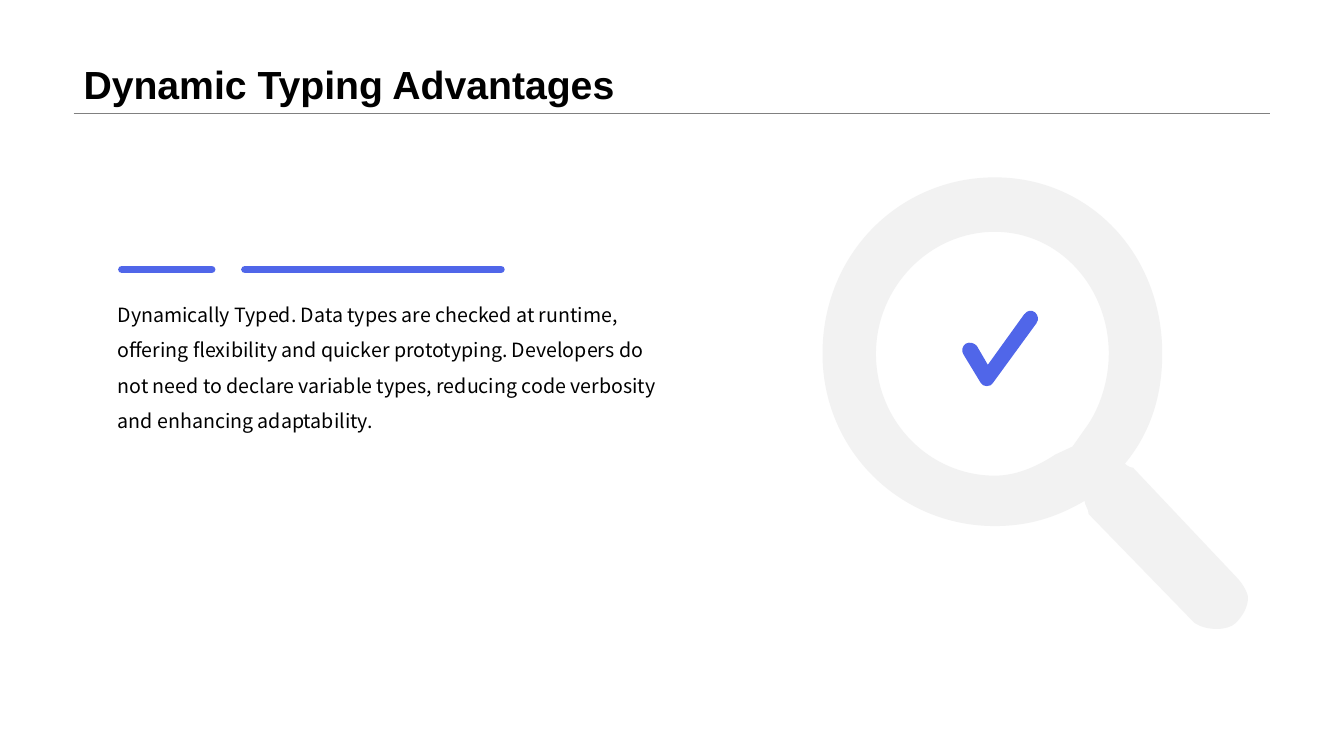
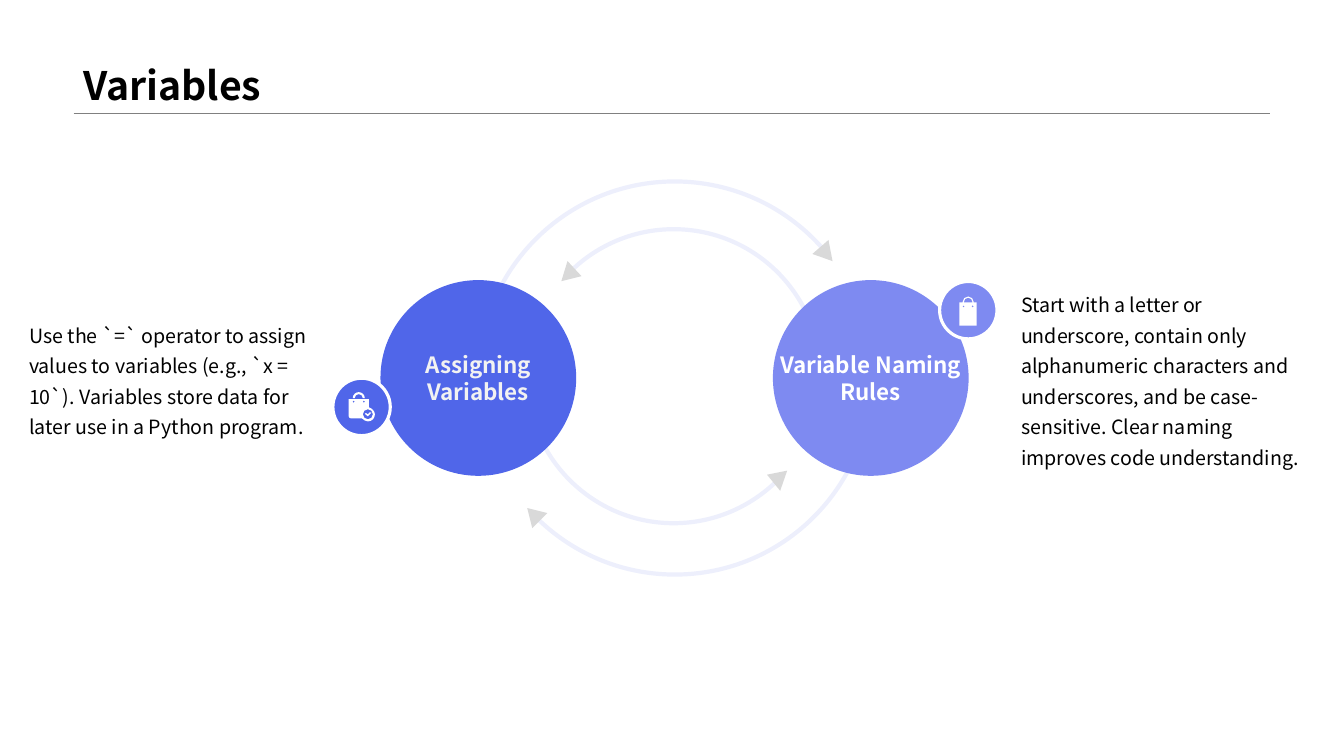
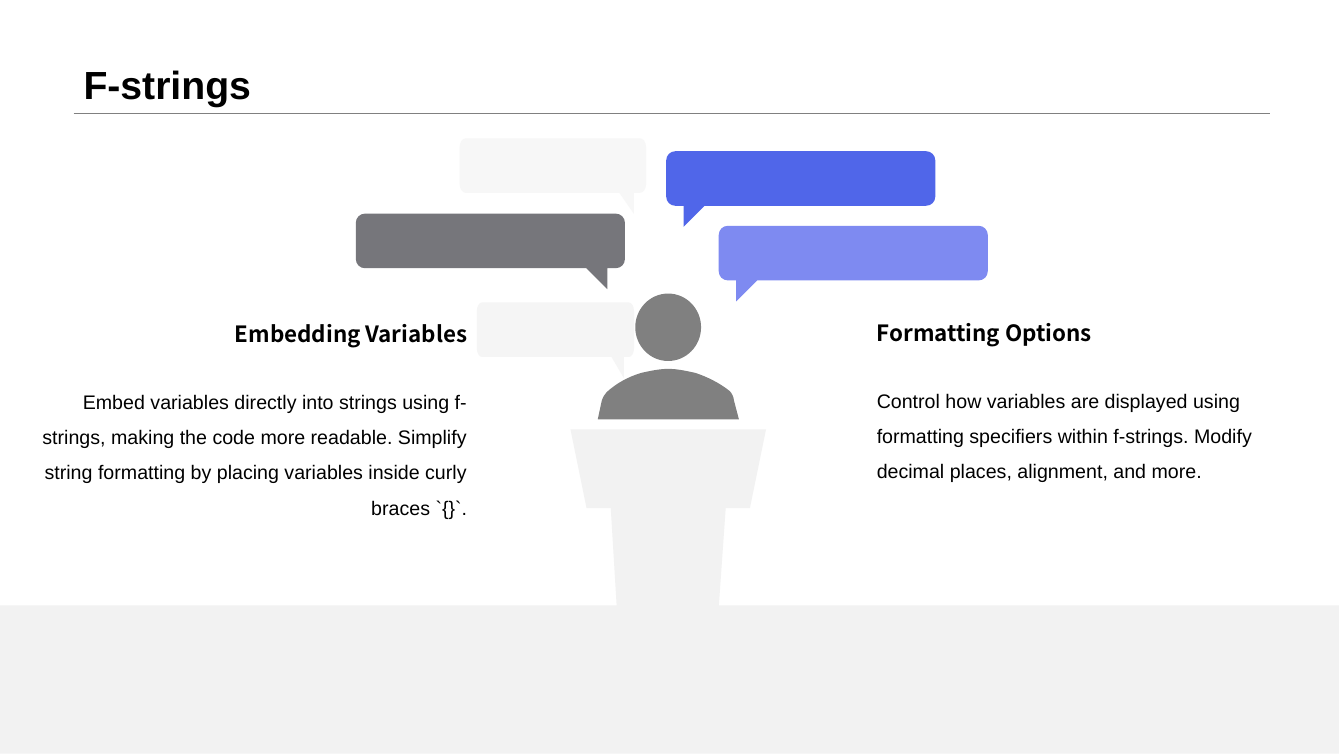
from dataclasses import dataclass
from math import cos, radians, sin, tan
from typing import NamedTuple

from lxml import etree
from pptx import Presentation
from pptx.dml.color import RGBColor
from pptx.enum.shapes import MSO_CONNECTOR, MSO_SHAPE
from pptx.enum.text import MSO_ANCHOR, PP_ALIGN
from pptx.oxml.ns import qn
from pptx.util import Pt

STRAIGHT = MSO_CONNECTOR.STRAIGHT
OVAL, RECT = MSO_SHAPE.OVAL, MSO_SHAPE.RECTANGLE
TOP, MIDDLE, BOTTOM = MSO_ANCHOR.TOP, MSO_ANCHOR.MIDDLE, MSO_ANCHOR.BOTTOM
LEFT, CENTER, RIGHT = PP_ALIGN.LEFT, PP_ALIGN.CENTER, PP_ALIGN.RIGHT


# Theme
@dataclass(frozen=True)
class Theme:
    blue: str = "5066E9"
    violet: str = "7E8AF1"
    black: str = "000000"
    white: str = "FFFFFF"
    pale: str = "F2F2F2"
    silver: str = "D9D9D9"
    gray: str = "808080"
    slate: str = "76767B"
    sans: str = "Arial"
    noto: str = "Noto Sans CJK SC"
    title: float = 28
    heading: float = 16
    body: float = 14


T = Theme()


class Box(NamedTuple):
    x: float
    y: float
    w: float
    h: float


class Arc(NamedTuple):
    cx: float
    cy: float
    r: float
    start: float
    end: float


class Topic(NamedTuple):
    cx: float
    label: str
    fill: str
    color: str
    badge: Box
    icon: list
    note: Box
    body: str


class Bubble(NamedTuple):
    x: float
    y: float
    w: float
    fill: str
    tail_right: bool
    opacity: float = 100


class Column(NamedTuple):
    y: float
    x: float
    align: PP_ALIGN
    heading: str
    body: str


# Contours: two numbers make a corner, six make a cubic curve
def arc(cx, cy, rx, ry, start, end) -> list:
    """Elliptical arc in degrees clockwise from the right, cut at the axes."""
    lo, hi = sorted((start, end))
    stops = [lo, *(a for a in range(0, 361, 90) if lo < a < hi), hi]
    if start > end:
        stops.reverse()
    segments = [(cx + rx * cos(radians(start)), cy + ry * sin(radians(start)))]
    for a, b in zip(stops, stops[1:]):
        a, b = radians(a), radians(b)
        k = 4 / 3 * tan((b - a) / 4)
        segments.append((cx + rx * (cos(a) - k * sin(a)),
                         cy + ry * (sin(a) + k * cos(a)),
                         cx + rx * (cos(b) + k * sin(b)),
                         cy + ry * (sin(b) - k * cos(b)),
                         cx + rx * cos(b), cy + ry * sin(b)))
    return segments


def circle(cx: float, cy: float, r: float) -> list:
    return arc(cx, cy, r, r, 0, 360)


def handle(cx: float, cy: float, outer: float, inner: float) -> list:
    return (arc(cx, cy, outer, outer, 180, 360)
            + arc(cx, cy, inner, inner, 360, 180))


# Drawing helpers
def rgb(color: str) -> RGBColor:
    return RGBColor.from_string(color)


def set_opacity(sp, percent: float) -> None:
    for clr in sp._element.iter(qn("a:srgbClr")):
        etree.SubElement(clr, qn("a:alpha")).set("val", str(int(percent * 1000)))


def paint(sp, fill=None, line=None, width=0.0):
    sp.shadow.inherit = False
    if fill:
        sp.fill.solid()
        sp.fill.fore_color.rgb = rgb(fill)
    else:
        sp.fill.background()
    if line:
        sp.line.color.rgb = rgb(line)
        sp.line.width = Pt(width)
    else:
        sp.line.fill.background()
    return sp


def add_outline(s, contours: list, close=True):
    builder = None
    for contour in contours:
        pts = [(Pt(seg[i]), Pt(seg[i + 1]))
               for seg in contour for i in range(0, len(seg), 2)]
        if builder is None:
            builder = s.shapes.build_freeform(*pts[0], scale=1.0)
        else:
            builder.move_to(*pts[0])
        builder.add_line_segments(pts[1:], close=close)
    sp = builder.convert_to_shape()
    # Join each curve's three points into one cubic segment
    corners = iter(list(sp._element.iter(qn("a:lnTo"))))
    for seg in (seg for contour in contours for seg in contour[1:]):
        first = next(corners)
        if len(seg) == 6:
            first.tag = qn("a:cubicBezTo")
            for corner in (next(corners), next(corners)):
                first.append(corner[0])
                corner.getparent().remove(corner)
    return sp


def add_preset(s, kind, box: Box):
    return s.shapes.add_shape(kind, *(Pt(v) for v in box))


def add_rule(s, x1: float, x2: float, y: float, color: str, width: float,
             rounded=False) -> None:
    c = s.shapes.add_connector(STRAIGHT, Pt(x1), Pt(y), Pt(x2), Pt(y))
    c.line.color.rgb = rgb(color)
    c.line.width = Pt(width)
    if rounded:
        c.line._get_or_add_ln().set("cap", "rnd")
    etree.SubElement(c._element.spPr, qn("a:effectLst"))


def write(sp, text: str, size: float, font: str, bold=False, color=T.black,
          align=LEFT, anchor=TOP, spacing=1.0) -> None:
    tf = sp.text_frame
    tf.word_wrap = True
    tf.vertical_anchor = anchor
    p = tf.paragraphs[0]
    p.text = text
    p.alignment = align
    p.line_spacing = spacing
    p.font.size = Pt(size)
    p.font.name = font
    p.font.bold = bold
    p.font.color.rgb = rgb(color)


def add_text(s, box: Box, text: str, size: float, font: str, **style) -> None:
    write(s.shapes.add_textbox(*(Pt(v) for v in box)), text, size, font, **style)


def new_slide(prs, title: str, font=T.sans, spacing=0.9):
    s = prs.slides.add_slide(prs.slide_layouts[6])
    add_rule(s, 52.6, 907.2, 80.9, T.gray, 0.25)
    add_text(s, Box(52.6, 0, 854.6, 80.9), title, T.title, font,
             bold=True, anchor=BOTTOM, spacing=spacing)
    return s


# Slide 1: magnifier with check mark
LENS_OUTSIDE = [
    (587.5, 252.7), (587.5, 180.7, 643, 126.7, 710.6, 126.7),
    (777.6, 126.7, 830.2, 180.7, 830.2, 252.7),
    (830.2, 283, 821.5, 309.6, 803.5, 331.2),
    (803.5, 331.2, 806.4, 334.1, 809.3, 334.1),
    (882.7, 411.8, 882.7, 411.8, 882.7, 411.8),
    (888.5, 417.6, 891.4, 424.1, 891.4, 427),
    (891.4, 432.7, 888.5, 439.2, 882.7, 445),
    (877, 450.7, 861.8, 450.7, 853.2, 445),
    (777.6, 367.2, 777.6, 367.2, 777.6, 367.2),
    (777.6, 363.6, 774.7, 360.7, 774.7, 357.8),
    (753.8, 370.1, 733.7, 375.8, 710.6, 375.8),
    (643, 375.8, 587.5, 321.8, 587.5, 252.7)]
LENS_INSIDE = [
    (625.7, 252.7), (625.7, 301, 663.8, 339.8, 710.6, 339.8),
    (725, 339.8, 739.4, 334.1, 753.8, 324.7),
    (766.1, 319, 766.1, 319, 766.1, 319),
    (774.7, 306.7, 774.7, 306.7, 774.7, 306.7),
    (786.2, 291.6, 792, 270.7, 792, 252.7),
    (792, 205.2, 756.7, 165.6, 710.6, 165.6),
    (663.8, 165.6, 625.7, 205.2, 625.7, 252.7)]
CHECK = [
    (704.9, 275.8), (702.7, 275.8, 701.3, 275, 700.6, 273.6), (688.3, 253.4),
    (686.2, 250.6, 687.6, 247, 689.8, 245.5),
    (692.6, 244.1, 695.5, 244.8, 697.7, 247), (705.6, 260.6), (731.5, 224.6),
    (733.7, 221.8, 736.6, 221, 739.4, 223.2),
    (741.6, 225.4, 742.3, 228.2, 740.2, 231.1), (709.2, 273.6),
    (708.5, 275, 707, 275.8, 704.9, 275.8)]


def build_typing(prs) -> None:
    s = new_slide(prs, "Dynamic Typing Advantages")
    paint(add_outline(s, [LENS_OUTSIDE, LENS_INSIDE]), T.pale)
    paint(add_outline(s, [CHECK]), T.blue)
    for x1, x2 in ((87.1, 151.2), (175, 357.8)):
        add_rule(s, x1, x2, 192.5, T.blue, 5.5, rounded=True)
    add_text(s, Box(77, 204.5, 410.4, 105.8),
             "Dynamically Typed. Data types are checked at runtime, offering "
             "flexibility and quicker prototyping. Developers do not need to "
             "declare variable types, reducing code verbosity and enhancing "
             "adaptability.", T.body, T.noto, spacing=1.5)


# Slide 2: two linked circles
CHECKED_BAG = [
    [(249.1, 285.1), (263.5, 285.1), (263.5, 290.9),
     (265.7, 291.6, 267.8, 293.8, 267.8, 295.9),
     (267.8, 298.8, 265.7, 301, 262.8, 301),
     (261.4, 301, 259.9, 300.2, 258.5, 298.8), (250.6, 298.8),
     (249.8, 298.8, 249.1, 298.1, 249.1, 297.4)],
    circle(262.8, 295.9, 3.6),
    [(264.2, 294.5), (265.3, 294.8), (262.8, 297.4), (260.6, 295.6),
     (261.4, 295), (262.8, 296)],
    circle(252.7, 286.9, 0.8), circle(259.9, 286.9, 0.8),
    handle(256.3, 284.4, 4.3, 2.9)]
PLAIN_BAG = [
    [(685.4, 216), (697.7, 216), (697.7, 232.6), (685.4, 232.6)],
    circle(688.3, 218.9, 0.8), circle(694.8, 218.9, 0.8),
    handle(691.6, 215.8, 4, 3.1)]
ARCS = [Arc(482, 270, 140.4, 180, 319), Arc(481.2, 268.7, 105, 45, 184),
        Arc(481.2, 268.7, 105, 225, 361), Arc(482, 270, 140.4, 0, 136)]
ARROWHEADS = [
    [(591.8, 171.4), (580.3, 181.4), (594.7, 186.5)],
    [(547.9, 339.1), (557.3, 350.6), (562.3, 336.2)],
    [(415.4, 197.3), (405.4, 186.5), (401, 200.9)],
    [(380.2, 377.3), (391, 366.5), (376.6, 362.9)]]
TOPICS = [
    Topic(341.7, "Assigning Variables", T.blue, T.pale,
          Box(237.8, 270.2, 41, 41), CHECKED_BAG, Box(13.7, 201, 223.2, 137.5),
          "Use the `=` operator to assign values to variables (e.g., `x = 10`). "
          "Variables store data for later use in a Python program."),
    Topic(622, "Variable Naming Rules", T.violet, T.white,
          Box(671.2, 201.1, 41, 41), PLAIN_BAG, Box(722.2, 201, 223.9, 137.5),
          "Start with a letter or underscore, contain only alphanumeric "
          "characters and underscores, and be case-sensitive. Clear naming "
          "improves code understanding.")]


def draw_topic(s, t: Topic) -> None:
    sp = paint(add_outline(s, [circle(t.cx, 270, 69.9)]), t.fill)
    tf = sp.text_frame
    tf.margin_left = tf.margin_right = tf.margin_top = tf.margin_bottom = Pt(0)
    write(sp, t.label, T.heading, T.noto, bold=True, color=t.color,
          align=CENTER, anchor=MIDDLE)
    paint(add_preset(s, OVAL, t.badge), t.fill, T.white, 2.25)
    paint(add_outline(s, t.icon), T.white)
    add_text(s, t.note, t.body, T.body, T.noto, anchor=MIDDLE, spacing=1.3)


def build_variables(prs) -> None:
    s = new_slide(prs, "Variables", T.noto, 1.2)
    for a, head in zip(ARCS, ARROWHEADS):
        curve = arc(a.cx, a.cy, a.r, a.r, a.start, a.end)
        sp = paint(add_outline(s, [curve], close=False), line=T.blue, width=3)
        set_opacity(sp, 10)
        paint(add_outline(s, [head]), T.silver)
    for t in TOPICS:
        draw_topic(s, t)


# Slide 3: speaker with speech bubbles
PODIUM = [(407.5, 306.7), (547.2, 306.7), (535.7, 362.9), (518.4, 362.9),
          (513.4, 434.2), (440.6, 434.2), (436.3, 362.9), (419, 362.9)]
SHOULDERS = [
    (524.2, 285.8), (524.2, 283.7, 522.7, 280.8, 521.3, 279.4),
    (514.1, 273.6, 505.4, 269.3, 496.8, 266.4),
    (490.3, 265, 483.8, 263.5, 477.4, 263.5),
    (470.9, 263.5, 464.4, 265, 457.9, 266.4),
    (448.6, 269.3, 440.6, 273.6, 433.4, 280.1),
    (432, 281.5, 430.6, 283.7, 429.8, 286.6), (427, 299.5), (527.8, 299.5)]
BUBBLES = [Bubble(254.2, 152.6, 192.2, T.slate, True),
           Bubble(475.9, 108, 192.2, T.blue, False),
           Bubble(513.4, 161.3, 192.2, T.violet, False),
           Bubble(340.6, 216, 112.3, T.pale, True, 75),
           Bubble(328.3, 98.8, 133.2, T.pale, True, 61)]
COLUMNS = [
    Column(225.4, 14.7, RIGHT, "Embedding Variables",
           "Embed variables directly into strings using f-strings, making the "
           "code more readable. Simplify string formatting by placing variables "
           "inside curly braces `{}`."),
    Column(224.6, 619.2, LEFT, "Formatting Options",
           "Control how variables are displayed using formatting specifiers "
           "within f-strings. Modify decimal places, alignment, and more.")]


def draw_bubble(s, b: Bubble) -> None:
    """A rounded box whose corners and tail narrow with its width."""
    k, h, ry = b.w / 192.2, 39, 6.5
    rx = ry * k
    contour = (arc(rx, ry, rx, ry, 180, 270)
               + arc(b.w - rx, ry, rx, ry, 270, 360)
               + arc(b.w - rx, h - ry, rx, ry, 0, 90)
               + [(b.w - 12.5 * k, h), (b.w - 12.5 * k, h + 15),
                  (b.w - 27.5 * k, h)]
               + arc(rx, h - ry, rx, ry, 90, 180))
    origin, way = (b.x, 1) if b.tail_right else (b.x + b.w, -1)
    placed = [tuple(b.y + v if i % 2 else origin + way * v
                    for i, v in enumerate(seg)) for seg in contour]
    sp = paint(add_outline(s, [placed]), b.fill)
    if b.opacity < 100:
        set_opacity(sp, b.opacity)


def build_fstrings(prs) -> None:
    s = new_slide(prs, "F-strings")
    paint(add_preset(s, RECT, Box(-3.6, 432.4, 960, 106)), T.pale)
    paint(add_outline(s, [arc(477.3, 233.8, 23.5, 24.1, 0, 360)]), T.gray)
    paint(add_outline(s, [PODIUM]), T.pale)
    paint(add_outline(s, [SHOULDERS]), T.gray)
    for b in BUBBLES:
        draw_bubble(s, b)
    for c in COLUMNS:
        add_text(s, Box(c.x, c.y, 326.2, 26.6), c.heading, T.heading, T.noto,
                 bold=True, align=c.align)
        add_text(s, Box(c.x, c.y + 41, 326.2, 80.6), c.body, T.body, T.sans,
                 align=c.align, spacing=1.5)


def main() -> None:
    prs = Presentation()
    prs.slide_width, prs.slide_height = Pt(960), Pt(540)
    build_typing(prs)
    build_variables(prs)
    build_fstrings(prs)
    prs.save("out.pptx")


if __name__ == "__main__":
    main()
